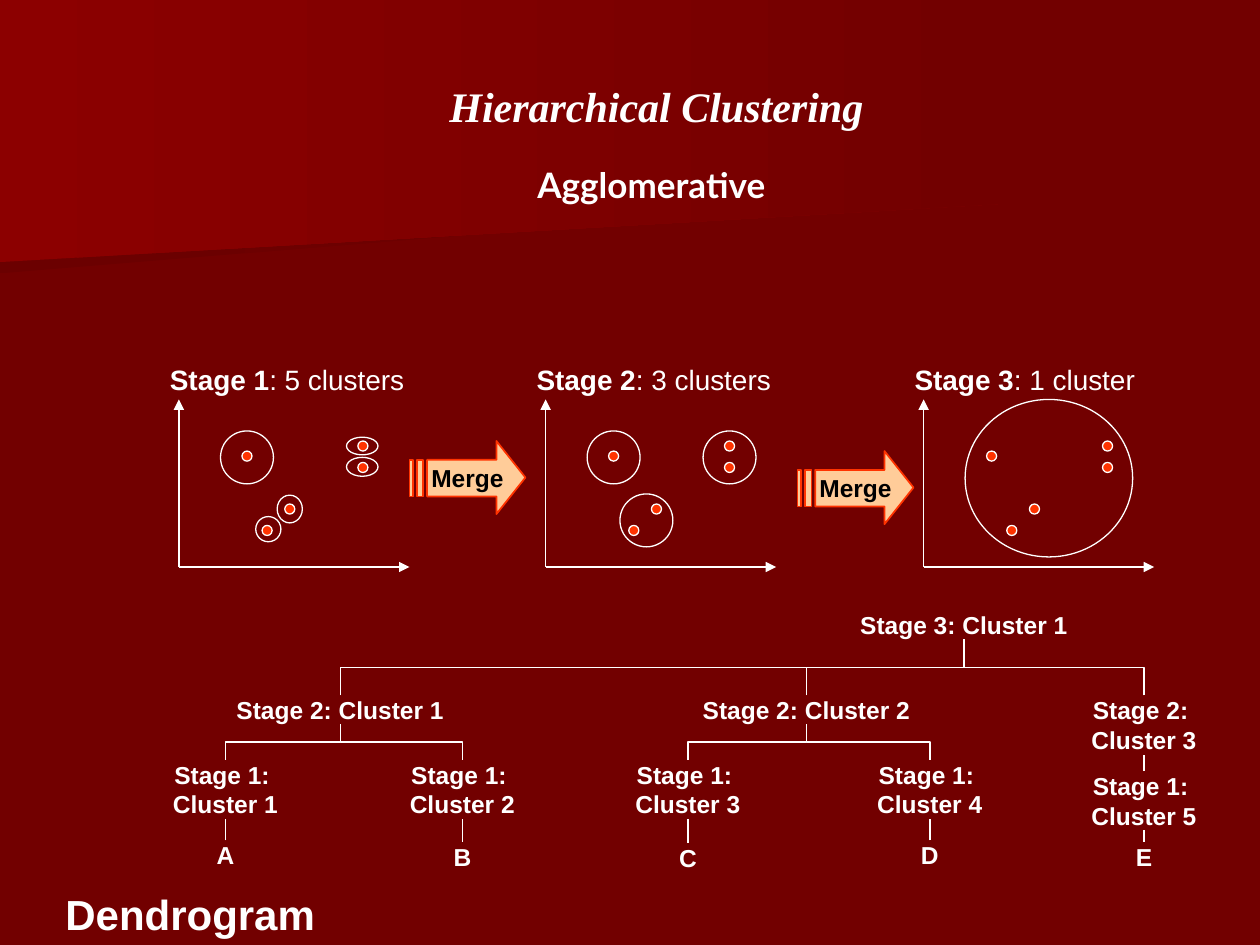
from dataclasses import dataclass

from lxml import etree
from pptx import Presentation
from pptx.dml.color import RGBColor
from pptx.enum import shapes, text
from pptx.oxml.ns import qn
from pptx.util import Cm, Pt

COLORS = {"ground": "720000", "band": "8C0000", "shade": "6B0000", "white": "FFFFFF",
          "dot": "FF3300", "arrow": "FFCC99", "black": "000000"}
CENTER, LEFT = text.PP_ALIGN.CENTER, text.PP_ALIGN.LEFT
Point = tuple[float, float]
Box = tuple[float, float, float, float]


@dataclass
class Stage:
    name: str
    count: str
    x: float
    rings: list[Box]  # left offset from the axis, top, width, height


@dataclass
class Node:
    label: str
    x: float
    top: float
    width: float
    parent: str = ""

    @property
    def height(self) -> float:
        return 0.47 if "\n" in self.label else 0.23


DOTS = [(0.54, 3.62), (0.7, 4.21), (0.88, 4.04), (1.46, 3.54), (1.46, 3.71)]
STAGES = [
    Stage("Stage 1", ": 5 clusters", 1.42,
          [(0.33, 3.42, 0.42, 0.42), (0.61, 4.1, 0.2, 0.2), (0.78, 3.93, 0.2, 0.22),
           (1.33, 3.63, 0.25, 0.15), (1.33, 3.47, 0.25, 0.14)]),
    Stage("Stage 2", ": 3 clusters", 4.33,
          [(0.33, 3.42, 0.42, 0.42), (0.59, 3.92, 0.42, 0.42), (1.25, 3.42, 0.42, 0.42)]),
    Stage("Stage 3", ": 1 cluster", 7.33, [(0.33, 3.17, 1.33, 1.25)]),
]
ROOT = "Stage 3: Cluster 1"
PAIR_1, PAIR_2, SINGLE = "Stage 2: Cluster 1", "Stage 2: Cluster 2", "Stage 2: \nCluster 3"
NODES = [
    Node(ROOT, 7.65, 4.84, 1.65),
    Node(PAIR_1, 2.7, 5.52, 1.65, ROOT),
    Node(PAIR_2, 6.4, 5.52, 1.65, ROOT),
    Node(SINGLE, 9.08, 5.52, 0.84, ROOT),
]
LEAVES = [("A", 1.79, 6.03, 6.67, PAIR_1), ("B", 3.67, 6.03, 6.68, PAIR_1),
          ("C", 5.46, 6.03, 6.69, PAIR_2), ("D", 7.38, 6.03, 6.67, PAIR_2),
          ("E", 9.08, 6.12, 6.68, SINGLE)]
for number, (letter, x, top, letter_top, parent) in enumerate(LEAVES, 1):
    cluster = f"Stage 1: \nCluster {number}"
    NODES += [Node(cluster, x, top, 0.84 if letter == "E" else 1.66, parent),
              Node(letter, x, letter_top, 0.14, cluster)]


def inch(value: float) -> Cm:
    return Cm(value * 2.54)


def rgb(name: str) -> RGBColor:
    return RGBColor.from_string(COLORS[name])


def style_run(r, size: float, font: str = "Arial", color: str = "white",
              bold: bool = True, italic: bool = False) -> None:
    r.font.size, r.font.name = Pt(size), font
    r.font.bold, r.font.italic = bold, italic
    r.font.color.rgb = rgb(color)


def add_text(s, box: Box, words: str, size: float, align=LEFT, inset: bool = True,
             wrap: bool = True, **style):
    """Add a one-paragraph text box and return its paragraph."""
    tf = s.shapes.add_textbox(*map(inch, box)).text_frame
    tf.word_wrap = wrap
    if not inset:
        tf.margin_left = tf.margin_right = tf.margin_top = tf.margin_bottom = 0
    p = tf.paragraphs[0]
    p.text, p.alignment = words, align
    for r in p.runs:
        style_run(r, size, **style)
    return p


def add_line(s, start: Point, end: Point, kind=shapes.MSO_CONNECTOR.STRAIGHT,
             arrow: bool = False):
    c = s.shapes.add_connector(kind, *map(inch, start + end))
    c.line.color.rgb, c.line.width = rgb("white"), Pt(0.75)
    if arrow:
        etree.SubElement(c.line._get_or_add_ln(), qn("a:tailEnd"), type="triangle")
    etree.SubElement(c._element.spPr, qn("a:effectLst"))
    return c


def add_branch(s, child: Point, parent: Point) -> None:
    """Join child to parent by an elbow that leaves vertically, turned a quarter."""
    (x1, y1), (x2, y2) = child, parent
    if x1 == x2:
        add_line(s, child, parent)
        return
    cx, cy = (x1 + x2) / 2, (y1 + y2) / 2
    a, b = (y1 - y2) / 2, abs(x1 - x2) / 2
    side = 1 if x1 < x2 else -1
    c = add_line(s, (cx + side * a, cy + b), (cx - side * a, cy - b),
                 shapes.MSO_CONNECTOR.ELBOW)
    c._element.spPr.find(qn("a:xfrm")).set("rot", str((90 if side > 0 else 270) * 60000))


def add_ellipse(s, box: Box, fill: str = "") -> None:
    sp = s.shapes.add_shape(shapes.MSO_SHAPE.OVAL, *map(inch, box))
    sp.shadow.inherit = False
    if fill:
        sp.fill.solid()
        sp.fill.fore_color.rgb = rgb(fill)
    else:
        sp.fill.background()
    sp.line.color.rgb, sp.line.width = rgb("white"), Pt(0.75)


def add_outline(s, contours: list[list[Point]]):
    contours = [[(inch(x), inch(y)) for x, y in points] for points in contours]
    builder = s.shapes.build_freeform(*contours[0][0])
    for i, points in enumerate(contours):
        if i:
            builder.move_to(*points[0])
        builder.add_line_segments(points[1:], close=True)
    sp = builder.convert_to_shape()
    sp.shadow.inherit = False
    return sp


def add_band(s, points: list[Point], color: str) -> None:
    sp = add_outline(s, [points])
    sp.line.fill.background()
    sp.fill.gradient()
    sp.fill.gradient_angle = 0
    for stop, name, position in zip(sp.fill.gradient_stops, (color, "ground"), (0, 1)):
        stop.color.rgb, stop.position = rgb(name), position


def add_merge_arrow(s, x: float, y: float) -> None:
    top, bottom = y + 0.15, y + 0.44
    head = [(x + 0.69, y), (x + 0.69, top), (x + 0.14, top), (x + 0.14, bottom),
            (x + 0.69, bottom), (x + 0.69, y + 0.58), (x + 0.92, y + 0.29)]
    stripes = [[(x + l, top), (x + l, bottom), (x + r, bottom), (x + r, top)]
               for l, r in ((0.06, 0.11), (0, 0.03))]
    sp = add_outline(s, [head, *stripes])
    sp.fill.solid()
    sp.fill.fore_color.rgb = rgb("arrow")
    sp.line.color.rgb, sp.line.width = rgb("dot"), Pt(1)
    tf = sp.text_frame
    tf.text, tf.word_wrap = "Merge", False
    tf.vertical_anchor = text.MSO_ANCHOR.MIDDLE
    tf.paragraphs[0].alignment = CENTER
    style_run(tf.paragraphs[0].runs[0], 14, color="black")


def add_stage(s, stage: Stage) -> None:
    x, floor = stage.x, 4.5
    add_line(s, (x, floor), (x, 3.17), arrow=True)
    add_line(s, (x, floor), (x + 1.83, floor), arrow=True)
    for dx, y in DOTS:
        add_ellipse(s, (x + dx - 0.04, y - 0.04, 0.08, 0.08), "dot")
    for dx, *rest in stage.rings:
        add_ellipse(s, (x + dx, *rest))
    p = add_text(s, (x - 0.17, 2.83, 2.08, 0.42), stage.name, 16)
    r = p.add_run()
    r.text = stage.count
    style_run(r, 16, bold=False)


def add_title(s, words: str) -> None:
    sp = s.shapes.title
    s.shapes._spTree.append(sp._element)
    sp.left, sp.top, sp.width, sp.height = map(inch, (3.17, 1.08, 4, 0.83))
    tf = sp.text_frame
    tf.text, tf.vertical_anchor = words, text.MSO_ANCHOR.MIDDLE
    p = tf.paragraphs[0]
    p.alignment, p.line_spacing = CENTER, 0.8
    style_run(p.runs[0], 20, "Lato")


def main() -> None:
    prs = Presentation()
    prs.slide_width, prs.slide_height = inch(10), inch(7.5)
    s = prs.slides.add_slide(prs.slide_layouts[5])
    s.background.fill.solid()
    s.background.fill.fore_color.rgb = rgb("ground")
    add_band(s, [(7.78, 1.53), (0, 2.17), (0, 1.01), (7.79, 1.01), (7.78, 1.28)], "shade")
    add_band(s, [(7.92, 1.62), (0, 2.08), (0, 0), (7.92, 0)], "band")
    add_title(s, "Agglomerative")
    for stage in STAGES:
        add_stage(s, stage)
    by_label = {node.label: node for node in NODES}
    for node in NODES:
        add_text(s, (node.x - node.width / 2, node.top, node.width, node.height),
                 node.label, 14, CENTER, inset=False, wrap=False)
        if node.parent:
            parent = by_label[node.parent]
            add_branch(s, (node.x, node.top), (parent.x, parent.top + parent.height))
    add_merge_arrow(s, 3.25, 3.5)
    add_merge_arrow(s, 6.33, 3.58)
    add_text(s, (0.42, 7, 3.42, 0.5), "Dendrogram", 24).space_before = Pt(15)
    p = add_text(s, (1, 0.67, 8.42, 0.5), "Hierarchical Clustering", 24, CENTER,
                 font="Times New Roman", italic=True)
    p.line_spacing, p.space_before = 0.8, Pt(6)
    prs.save("out.pptx")


if __name__ == "__main__":
    main()
